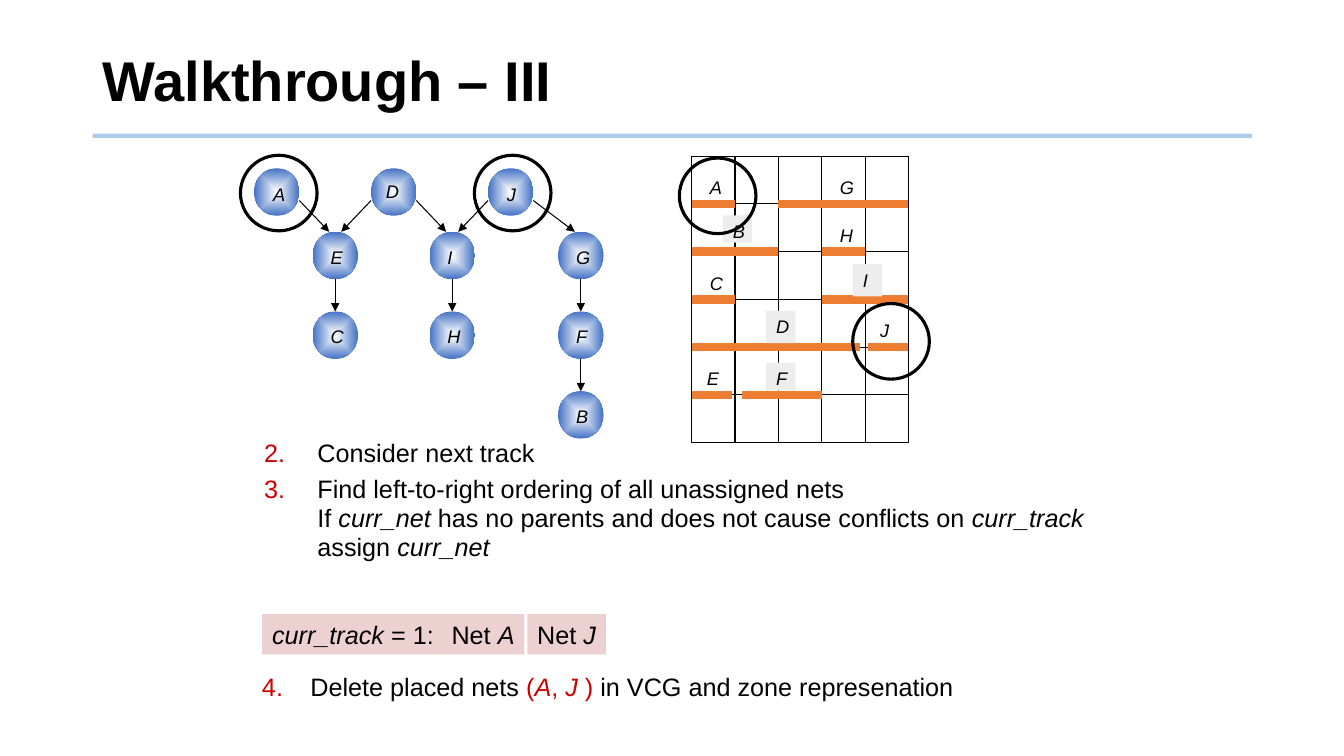
from lxml import etree
from pptx import Presentation
from pptx.dml.color import RGBColor
from pptx.enum.shapes import MSO_CONNECTOR, MSO_SHAPE
from pptx.enum.text import MSO_ANCHOR as Anchor, PP_ALIGN as Align
from pptx.oxml import parse_xml
from pptx.oxml.ns import nsdecls, qn
from pptx.util import Inches, Pt

COLORS = {"black": "000000", "white": "FFFFFF", "rule": "5B9BD5", "net": "ED7D31",
          "label": "EDEDED", "chip": "EDD1D1", "red": "CC0000", "node": "4472C4"}
FONT = "Arial"
LABEL_SIZE, BODY_SIZE = 13, 18
LABEL_HEIGHT = 0.32
ITALIC = {"italic": True}
RED = {"color": "red"}
RED_ITALIC = {"color": "red", "italic": True}


def rgb(name):
    return RGBColor.from_string(COLORS[name])


def add_line(slide, start, end, color="black", width=0.75, arrow=False, alpha=None):
    line = slide.shapes.add_connector(
        MSO_CONNECTOR.STRAIGHT, *(Inches(value) for value in (*start, *end)))
    line.line.color.rgb = rgb(color)
    line.line.width = Pt(width)
    properties = line._element.spPr
    if alpha:
        color_element = properties.find(".//" + qn("a:srgbClr"))
        etree.SubElement(color_element, qn("a:alpha"), val=str(alpha * 1000))
    if arrow:
        etree.SubElement(properties.find(qn("a:ln")), qn("a:tailEnd"), type="triangle")
    etree.SubElement(properties, qn("a:effectLst"))


def add_shape(slide, kind, box, fill=None, line_width=None):
    shape = slide.shapes.add_shape(kind, *map(Inches, box))
    shape.shadow.inherit = False
    if fill:
        shape.fill.solid()
        shape.fill.fore_color.rgb = rgb(fill)
    else:
        shape.fill.background()
    if line_width:
        shape.line.color.rgb = rgb("black")
        shape.line.width = Pt(line_width)
    else:
        shape.line.fill.background()
    return shape


def add_circle(slide, center):
    x, y = center
    width, height = 0.76, 0.75
    add_shape(slide, MSO_SHAPE.OVAL, (x - width / 2, y - height / 2, width, height),
              line_width=2.25)


def set_indent(paragraph, left, hanging, number=None):
    properties = paragraph._p.get_or_add_pPr()
    properties.set("marL", str(Inches(left)))
    properties.set("indent", str(-Inches(hanging)))
    if number:
        bullet_color = etree.SubElement(properties, qn("a:buClr"))
        etree.SubElement(bullet_color, qn("a:srgbClr"), val=COLORS["red"])
        etree.SubElement(properties, qn("a:buAutoNum"), type="arabicPeriod",
                         startAt=str(number))


def add_text(slide, box, paragraphs, size=BODY_SIZE, bold=False, fill=None, wrap=True,
             anchor=Anchor.TOP, spacing=None, before=0, indent=None, first_number=None):
    """Each paragraph is a list of (text, format) runs; a newline breaks the line."""
    if fill:
        shape = add_shape(slide, MSO_SHAPE.RECTANGLE, box, fill)
    else:
        shape = slide.shapes.add_textbox(*map(Inches, box))
    frame = shape.text_frame
    frame.word_wrap = wrap
    frame.vertical_anchor = anchor
    for index, runs in enumerate(paragraphs):
        paragraph = frame.add_paragraph() if index else frame.paragraphs[0]
        if indent:
            set_indent(paragraph, *indent, first_number and first_number + index)
        paragraph.alignment = Align.LEFT
        if spacing:
            paragraph.line_spacing = spacing
        if index:
            paragraph.space_before = Pt(before)
        for text, style in runs:
            for part_index, part in enumerate(text.split("\n")):
                if part_index:
                    paragraph.add_line_break()
                if not part:
                    continue
                run = paragraph.add_run()
                run.text = part
                run.font.name = FONT
                run.font.size = Pt(size)
                run.font.bold = bold
                run.font.italic = style.get("italic", False)
                run.font.color.rgb = rgb(style.get("color", "black"))


def add_title(slide, box):
    left, top, width, height = box
    rule_y = top + 0.97 * height
    add_line(slide, (left, rule_y), (left + width, rule_y), "rule", 3, alpha=50)
    add_text(slide, box, [[("Walkthrough – III", {})]], size=40, bold=True,
             anchor=Anchor.MIDDLE, spacing=0.9)


def add_zone_grid(slide, box):
    left, top, width, height = box
    columns, rows = 5, 6

    def at(column, row):
        return left + column * width / columns, top + row * height / rows

    add_shape(slide, MSO_SHAPE.RECTANGLE, box, line_width=0.75)
    for column in range(1, columns):
        add_line(slide, at(column, 0), at(column, rows))
    for row in range(1, rows):
        add_line(slide, at(0, row), at(columns, row))

    # net, row, first column, last column, label column, label rise, shaded height
    nets = [("A", 1, 0, 1, 0.19, 0.32, 0), ("G", 1, 2, 5, 3.19, 0.32, 0),
            ("B", 2, 0, 2, 0.72, 0.36, 0.27), ("H", 2, 3, 4, 3.19, 0.32, 0),
            ("C", 3, 0, 1, 0.19, 0.32, 0), ("I", 3, 3, 5, 3.72, 0.35, 0.32),
            ("D", 4, 0, 3.88, 1.72, 0.36, 0.32), ("J", 4, 4.07, 5, 4.12, 0.32, 0),
            ("E", 5, 0, 0.93, 0.12, 0.32, 0), ("F", 5, 1.15, 3, 1.72, 0.32, 0.28)]
    for _, row, first, last, *_ in nets:
        add_line(slide, at(first, row), at(last, row), "net", 6)
    for net, row, _, _, column, rise, shaded in nets:
        x, y = at(column, row)
        add_text(slide, (x, y - rise, 0.29, shaded or LABEL_HEIGHT), [[(net, ITALIC)]],
                 size=LABEL_SIZE, fill="label" if shaded else None)
    for center in ((0.6, 0.83), (4.6, 3.88)):
        add_circle(slide, at(*center))


def add_node(slide, net, box, label_offset):
    x, y, _, _ = box
    node = add_shape(slide, MSO_SHAPE.OVAL, box, "node")
    solid = node._element.spPr.find(qn("a:solidFill"))
    solid.getparent().replace(solid, parse_xml(
        f'<a:gradFill {nsdecls("a")} rotWithShape="1"><a:gsLst>'
        f'<a:gs pos="0"><a:srgbClr val="{COLORS["white"]}"/></a:gs>'
        f'<a:gs pos="100000"><a:srgbClr val="{COLORS["node"]}"/></a:gs></a:gsLst>'
        '<a:path path="shape"><a:fillToRect l="50000" t="50000" r="50000" b="50000"/>'
        '</a:path></a:gradFill>'))
    add_text(slide, (x + label_offset[0], y + label_offset[1], 0.43, LABEL_HEIGHT),
             [[(net, ITALIC)]], size=LABEL_SIZE)


def add_constraint_graph(slide, box):
    left, top, width, height = box
    column_width, row_tops = width / 6, (0, 0.235, 0.53, 0.825)
    node_width, node_height = 0.45, 0.47
    places = {"E": (1, 1), "C": (1, 2), "D": (2, 0), "B": (5.2, 3), "F": (5.2, 2),
              "G": (5.2, 1), "H": (3, 2), "I": (3, 1), "J": (4, 0), "A": (0, 0)}
    label_offsets = {"D": (0.05, 0.07), "A": (0.09, 0.1), "J": (0.09, 0.1)}
    corners = {net: (left + column * column_width, top + row_tops[row] * height)
               for net, (column, row) in places.items()}
    for net, corner in corners.items():
        add_node(slide, net, (*corner, node_width, node_height),
                 label_offsets.get(net, (0.08, 0.09)))
    for parent, child in ("AE", "DE", "DI", "JI", "JG", "EC", "IH", "GF", "FB"):
        (parent_x, parent_y), (child_x, child_y) = corners[parent], corners[child]
        side = (child_x > parent_x) - (child_x < parent_x)
        start = (parent_x + node_width * (1 + side) / 2,
                 parent_y + (0.32 if side else node_height))
        end = (child_x + node_width / 2 - 0.06 * side, child_y)
        add_line(slide, start, end, arrow=True)
    for net in "AJ":
        x, y = corners[net]
        add_circle(slide, (x + node_width / 2 + 0.02, y + node_height / 2 + 0.01))


def add_steps(slide, box):
    left, top, width, height = box
    add_text(slide, (left, top, width, 0.5 * height), [
        [("Consider next track", {})],
        [("Find left-to-right ordering of all unassigned nets\nIf ", {}),
         ("curr_net", ITALIC),
         (" has no parents and does not cause conflicts on ", {}),
         ("curr_track\n", ITALIC), ("assign ", {}), ("curr_net", ITALIC)],
    ], spacing=0.95, before=5.4, indent=(0.53, 0.53), first_number=2)

    chips = [(0.08, 1.81, [("curr_track", ITALIC), (" = 1:", {})]),
             (2.71, 0.78, [("Net ", {}), ("J", ITALIC)]),
             (1.86, 0.82, [("Net ", {}), ("A", ITALIC)])]
    for offset, chip_width, runs in chips:
        add_text(slide, (left + offset, top + 0.66 * height, chip_width, 0.4), [runs],
                 fill="chip", wrap=False)

    add_text(slide, (left - 0.02, top + 0.87 * height, width, 0.13 * height), [
        [("4.\t", RED), ("Delete placed nets ", {}), ("(", RED), ("A", RED_ITALIC),
         (", ", RED), ("J ", RED_ITALIC), (")", RED),
         (" in VCG and zone represenation", {})],
    ], spacing=0.85, indent=(0.48, 0.48))


def main():
    presentation = Presentation()
    presentation.slide_width, presentation.slide_height = Inches(13.33), Inches(7.5)
    slide = presentation.slides.add_slide(presentation.slide_layouts[6])
    add_title(slide, (0.92, 0.28, 11.5, 1.1))
    add_zone_grid(slide, (6.86, 1.55, 2.15, 2.84))
    add_steps(slide, (2.52, 4.31, 8.65, 2.7))
    add_constraint_graph(slide, (2.52, 1.67, 3.48, 2.68))
    presentation.save("out.pptx")


if __name__ == "__main__":
    main()
